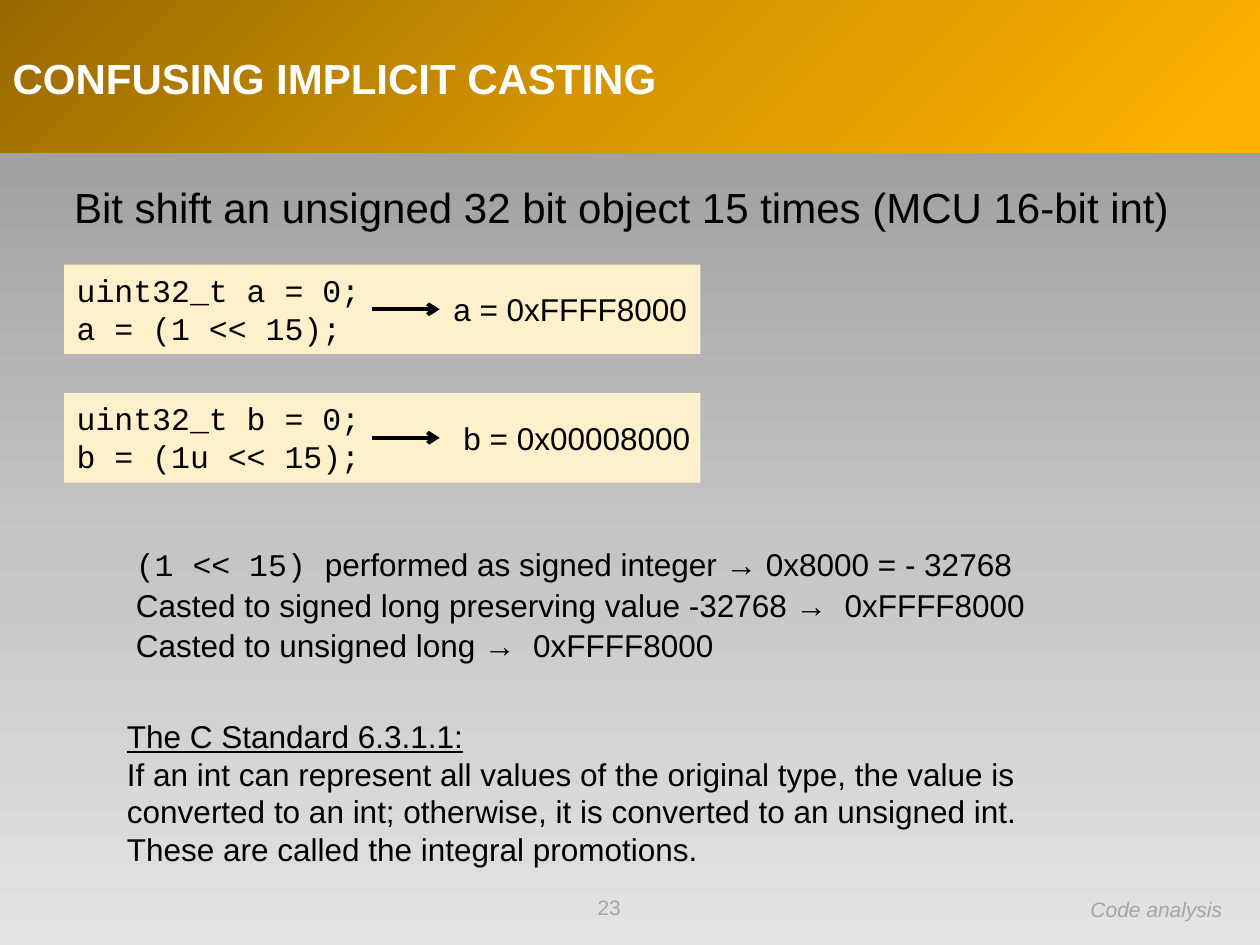
from copy import deepcopy
from pptx import Presentation
from pptx import util as u
from pptx.dml.color import RGBColor as Rgb
from pptx.enum import shapes, text
from pptx.oxml import ns
from pptx.oxml.xmlchemy import OxmlElement as Tag


class Theme:
    ink, light, dim, code = "000000", "FFFFFF", "A6A6A6", "FFF0CC"
    back = ("A0A0A0", "C5C5C5", "E3E3E3")
    band = ("976900", "D79600", "FFB200")
    sans, mono = "Arial", "Courier New"
    head, body, foot = 24, 18, 12


deck = Presentation()
deck.slide_width, deck.slide_height = u.Inches(10), u.Inches(7.5)
col, row = deck.slide_width / 100, deck.slide_height / 75
page = deck.slides.add_slide(deck.slide_layouts[5])
items = page.shapes


def place(x, y, w, h):
    """Turn columns and rows of the 100 x 75 grid into slide lengths."""
    return [round(n) for n in (x * col, y * row, w * col, h * row)]


def write(shape, paras, size=Theme.body, hue=Theme.ink, wrap=True, mid=False,
          side=text.PP_ALIGN.LEFT, gap=0):
    """Fill a shape; each paragraph is a list of (words, font, style letters)."""
    frame = shape.text_frame
    frame.word_wrap = wrap
    frame.auto_size = text.MSO_AUTO_SIZE.NONE
    anchor = text.MSO_ANCHOR
    frame.vertical_anchor = anchor.MIDDLE if mid else anchor.TOP
    for i, runs in enumerate(paras):
        para = frame.add_paragraph() if i else frame.paragraphs[0]
        para.alignment = side
        para.space_before = u.Pt(gap)
        for words, face, style in runs:
            run = para.add_run()
            run.text = words
            font = run.font
            font.name, font.size = face, u.Pt(size)
            font.color.rgb = Rgb.from_string(hue)
            font.bold, font.italic = "b" in style, "i" in style
            font.underline = "u" in style


# Backdrop and title band
for area, hues, angle in (((0, 11.5, 100, 63.5), Theme.back, 270),
                          ((0, 0, 100, 12.1), Theme.band, 315)):
    panel = items.add_shape(shapes.MSO_SHAPE.RECTANGLE, *place(*area))
    panel.shadow.inherit = False
    panel.line.fill.background()
    panel.fill.gradient()
    panel.fill.gradient_angle = angle
    stops = panel._element.spPr.find(".//" + ns.qn("a:gsLst"))
    stops.append(deepcopy(stops[-1]))
    for i, stop in enumerate(stops):
        stop.set("pos", str(i * 50000))
    for stop, hue in zip(panel.fill.gradient_stops, hues):
        stop.color.rgb = Rgb.from_string(hue)

# Title, brought in front of the band
title = items.title
title.left, title.top, title.width, title.height = place(0, 0, 84.6, 12.3)
items._spTree.append(title._element)
write(title, [[("CONFUSING IMPLICIT CASTING", Theme.sans, "b")]],
      Theme.head, Theme.light, mid=True, gap=4.8)

lead = items.add_textbox(*place(4.9, 13.9, 90, 7.1))
write(lead, [[("Bit shift an unsigned 32 bit object 15 times (MCU 16-bit int)",
               Theme.sans, "")]], Theme.head, gap=4.8)

# Code samples, each with an arrow to its result
samples = (
    (21, ("uint32_t a = 0;", "a = (1 << 15);"), "a = 0xFFFF8000", 35, 22.5),
    (31.2, ("uint32_t b = 0;", "b = (1u << 15);"), "b = 0x00008000", 35.8, 32.8),
)
for top, code, result, left, base in samples:
    card = items.add_shape(shapes.MSO_SHAPE.RECTANGLE,
                           *place(5.1, top, 50.5, 7.1))
    card.shadow.inherit = False
    card.fill.solid()
    card.fill.fore_color.rgb = Rgb.from_string(Theme.code)
    card.line.fill.background()
    write(card, [[(line, Theme.mono, "")] for line in code])

    value = items.add_textbox(*place(left, base, 20.5, 4))
    write(value, [[(result, Theme.sans, "")]], wrap=False)

    x, y, end, low = place(29.5, top + 3.55, 34.9, top + 3.55)
    arrow = items.add_connector(shapes.MSO_CONNECTOR.STRAIGHT, x, y, end, low)
    arrow.line.width = u.Pt(2.25)
    arrow.line.color.rgb = Rgb.from_string(Theme.ink)
    tip = Tag("a:tailEnd")
    tip.set("type", "arrow")
    arrow.line._get_or_add_ln().append(tip)
    arrow._element.spPr.append(Tag("a:effectLst"))

# Steps of the conversion
steps = (
    [("(1 << 15) ", Theme.mono, ""),
     ("performed as signed integer → 0x8000 = - 32768", Theme.sans, "")],
    [("Casted to signed long preserving value -32768 →  0xFFFF8000",
      Theme.sans, "")],
    [("Casted to unsigned long →  0xFFFF8000", Theme.sans, "")],
)
for i, runs in enumerate(steps):
    step = items.add_textbox(*place(9.8, 42.8 + 3.2 * i, 77, 4))
    write(step, [runs])

rule = items.add_textbox(*place(9.1, 56.4, 79.4, 13.1))
write(rule, [
    [("The C Standard 6.3.1.1:", Theme.sans, "u")],
    [("If an int can represent all values of the original type, the value is "
      "converted to an int; otherwise, it is converted to an unsigned int. "
      "These are called the integral promotions.", Theme.sans, "")],
])

# Footer
for words, area, style, side in (
        ("23", (36.7, 70, 23.3, 4), "", text.PP_ALIGN.CENTER),
        ("Code analysis", (73.9, 70.7, 24.1, 2.9), "i", text.PP_ALIGN.RIGHT)):
    note = items.add_textbox(*place(*area))
    write(note, [[(words, Theme.sans, style)]], Theme.foot, Theme.dim,
          mid=True, side=side)

deck.save("out.pptx")
